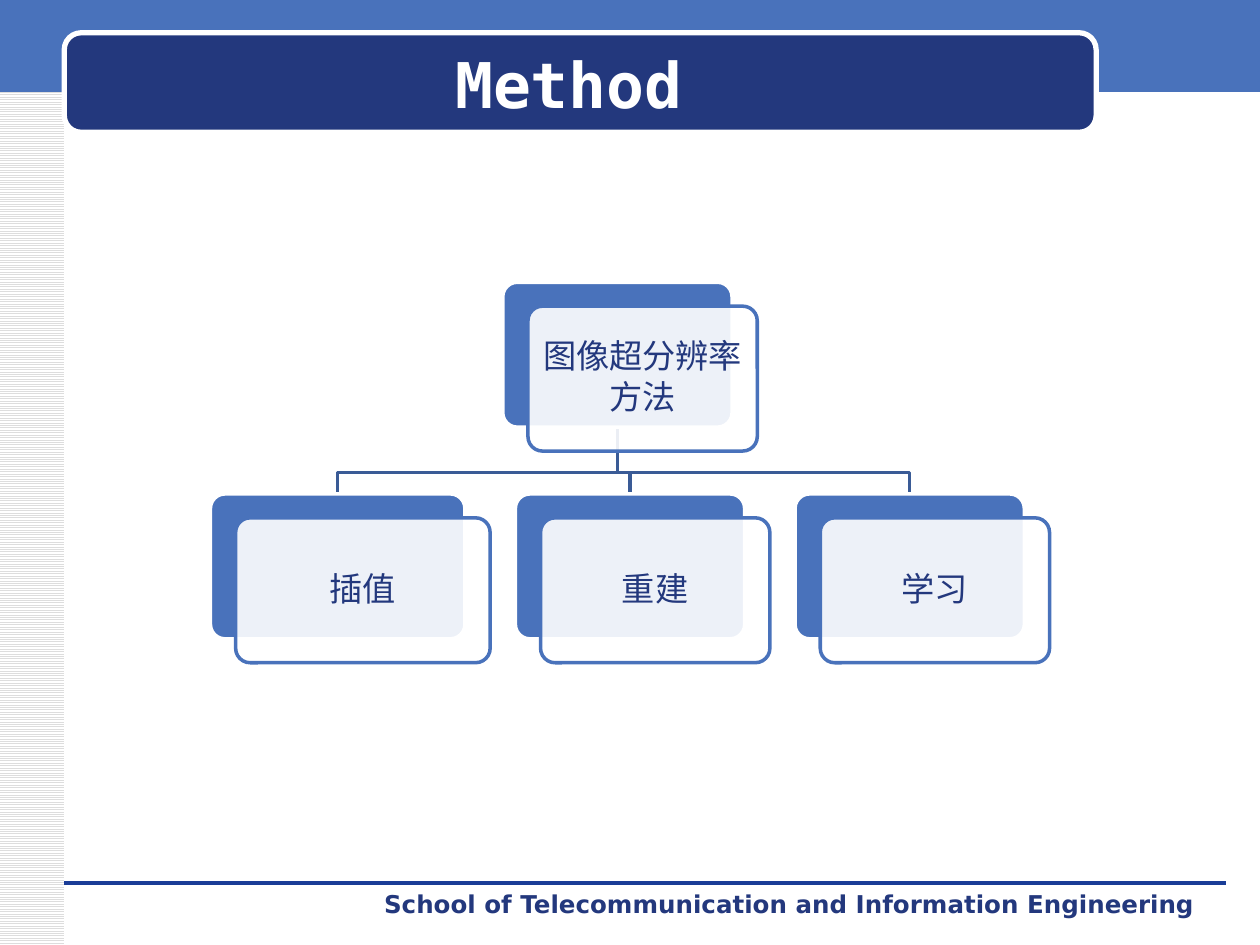
"""Build the Method slide: a banner, a footer and a tree of image super-resolution methods."""
from dataclasses import dataclass

import lxml.etree
import pptx
import pptx.dml.color
import pptx.enum.dml
import pptx.enum.lang
import pptx.enum.shapes
import pptx.enum.text
import pptx.oxml.ns
import pptx.shapes.autoshape
import pptx.slide
import pptx.text.text
import pptx.util

Inches = pptx.util.Inches
Pt = pptx.util.Pt
SHAPE = pptx.enum.shapes.MSO_SHAPE
ALIGN = pptx.enum.text.PP_ALIGN
ANCHOR = pptx.enum.text.MSO_ANCHOR

COLORS = {"blue": "4972BB", "navy": "23387D", "branch": "3A5B96", "rule": "1A3D97",
          "stripe": "DDDDDD", "white": "FFFFFF"}
CARD_HEIGHT = 1.15
CARD_OFFSET = (0.2, 0.19)
TEXT_INSET = 0.03
ROW_TOP = 3.92
BRANCH_Y = 3.75


@dataclass(frozen=True)
class Card:
    """A card of the tree: its back plate's place and its lines of text."""
    left: float
    top: float
    width: float
    lines: tuple[str, ...]

    @property
    def center(self) -> float:
        """Give the horizontal middle of the back plate."""
        return self.left + self.width / 2


ROOT = Card(3.99, 2.24, 1.82, ("图像超分辨率", "方法"))
METHODS = (
    Card(1.67, ROW_TOP, 2.02, ("插值",)),
    Card(4.09, ROW_TOP, 1.82, ("重建",)),
    Card(6.31, ROW_TOP, 1.82, ("学习",)),
)


def color(name: str) -> pptx.dml.color.RGBColor:
    """Look up a palette colour."""
    return pptx.dml.color.RGBColor.from_string(COLORS[name])


def lengths(*values: float) -> list[int]:
    """Convert inches to slide units."""
    return [Inches(value) for value in values]


def apply(target: object, formats: dict) -> None:
    """Set each format value on the target."""
    for name, value in formats.items():
        setattr(target, name, value)


def add_box(page: pptx.slide.Slide, kind: int, place: tuple, fill: str,
            line: str | None = None, weight: float = 2,
            corner: float | None = None) -> pptx.shapes.autoshape.Shape:
    """Draw a filled preset shape with an optional outline."""
    box = page.shapes.add_shape(kind, *lengths(*place))
    box.shadow.inherit = False
    box.fill.solid()
    box.fill.fore_color.rgb = color(fill)
    if line:
        box.line.color.rgb = color(line)
        box.line.width = Pt(weight)
    else:
        box.line.fill.background()
    if corner is not None:
        box.adjustments[0] = corner
    return box


def write(frame: pptx.text.text.TextFrame, lines: tuple[str, ...], frame_formats: dict,
          para_formats: dict, font_formats: dict, font_color: str) -> None:
    """Fill a text frame with one formatted paragraph per line."""
    apply(frame, {"word_wrap": True, **frame_formats})
    for index, line in enumerate(lines):
        para = frame.add_paragraph() if index else frame.paragraphs[0]
        apply(para, para_formats)
        span = para.add_run()
        span.text = line
        apply(span.font, font_formats)
        span.font.color.rgb = color(font_color)


def add_branch(page: pptx.slide.Slide, parent: Card, child: Card) -> None:
    """Draw the stepped line from a parent card down to a child card."""
    start, end = parent.center, child.center
    builder = page.shapes.build_freeform(
        *lengths(start, parent.top + CARD_HEIGHT), scale=1.0)
    corners = ((start, BRANCH_Y), (end, BRANCH_Y), (end, child.top))
    builder.add_line_segments([lengths(*corner) for corner in corners], close=False)
    branch = builder.convert_to_shape()
    branch.shadow.inherit = False
    branch.fill.background()
    branch.line.color.rgb = color("branch")
    branch.line.width = Pt(2)


def add_card(page: pptx.slide.Slide, card: Card) -> None:
    """Draw a back plate, a translucent front plate and the card's text."""
    add_box(page, SHAPE.ROUNDED_RECTANGLE, (card.left, card.top, card.width, CARD_HEIGHT),
            "blue", "white", corner=0.1)
    left, top = card.left + CARD_OFFSET[0], card.top + CARD_OFFSET[1]
    front = add_box(page, SHAPE.ROUNDED_RECTANGLE, (left, top, card.width, CARD_HEIGHT),
                    "white", "blue", corner=0.1)
    fill_color = front.element.spPr.find(
        f"{pptx.oxml.ns.qn('a:solidFill')}/{pptx.oxml.ns.qn('a:srgbClr')}")
    lxml.etree.SubElement(fill_color, pptx.oxml.ns.qn("a:alpha"), val="90000")
    label = page.shapes.add_textbox(*lengths(
        left + TEXT_INSET, top + TEXT_INSET,
        card.width - 2 * TEXT_INSET, CARD_HEIGHT - 2 * TEXT_INSET))
    margins = {f"margin_{side}": Inches(0.08) for side in ("left", "top", "right", "bottom")}
    write(label.text_frame, card.lines,
          {"vertical_anchor": ANCHOR.MIDDLE, **margins},
          {"alignment": ALIGN.CENTER, "line_spacing": 0.9, "space_after": Pt(3)},
          {"size": Pt(19), "name": "Times New Roman",
           "language_id": pptx.enum.lang.MSO_LANGUAGE_ID.SIMPLIFIED_CHINESE}, "navy")


def add_frame(page: pptx.slide.Slide) -> None:
    """Draw the striped side, top band, rule, title plate and footer."""
    side = add_box(page, SHAPE.RECTANGLE, (0, 0, 0.51, 7.5), "white")
    side.fill.patterned()
    side.fill.pattern = pptx.enum.dml.MSO_PATTERN.LIGHT_HORIZONTAL
    side.fill.fore_color.rgb = color("stripe")
    side.fill.back_color.rgb = color("white")
    add_box(page, SHAPE.RECTANGLE, (0, 0, 10, 0.73), "blue")
    rule = page.shapes.add_connector(
        pptx.enum.shapes.MSO_CONNECTOR.STRAIGHT, *lengths(0.51, 7.01, 9.73, 7.01))
    rule.line.color.rgb = color("rule")
    rule.line.width = Pt(0)
    lxml.etree.SubElement(rule.element.spPr, pptx.oxml.ns.qn("a:effectLst"))
    add_box(page, SHAPE.ROUNDED_RECTANGLE, (0.51, 0.26, 8.19, 0.79), "navy", "white",
            weight=3, corner=0.17)
    footer = page.shapes.add_textbox(*lengths(2.95, 7.01, 6.93, 0.34))
    write(footer.text_frame, ("School of Telecommunication and Information Engineering",),
          {}, {"alignment": ALIGN.LEFT},
          {"size": Pt(14), "name": "DejaVu Sans", "bold": True}, "navy")


def add_title(page: pptx.slide.Slide) -> None:
    """Place the title placeholder on top of its plate."""
    title = page.shapes.title
    places = zip(("left", "top", "width", "height"), lengths(0.6, 0.35, 7.83, 0.62))
    apply(title, dict(places))
    title.element.getparent().append(title.element)
    write(title.text_frame, ("Method",), {"vertical_anchor": ANCHOR.MIDDLE},
          {"alignment": ALIGN.CENTER},
          {"size": Pt(36), "name": "DejaVu Sans Mono", "bold": True}, "white")


def main() -> None:
    """Build and save the deck."""
    deck = pptx.Presentation()
    apply(deck, {"slide_width": Inches(10), "slide_height": Inches(7.5)})
    page = deck.slides.add_slide(deck.slide_layouts.get_by_name("Title Only"))
    add_frame(page)
    add_title(page)
    for method in reversed(METHODS):
        add_branch(page, ROOT, method)
    for card in (ROOT, *METHODS):
        add_card(page, card)
    deck.save("out.pptx")


if __name__ == "__main__":
    main()
